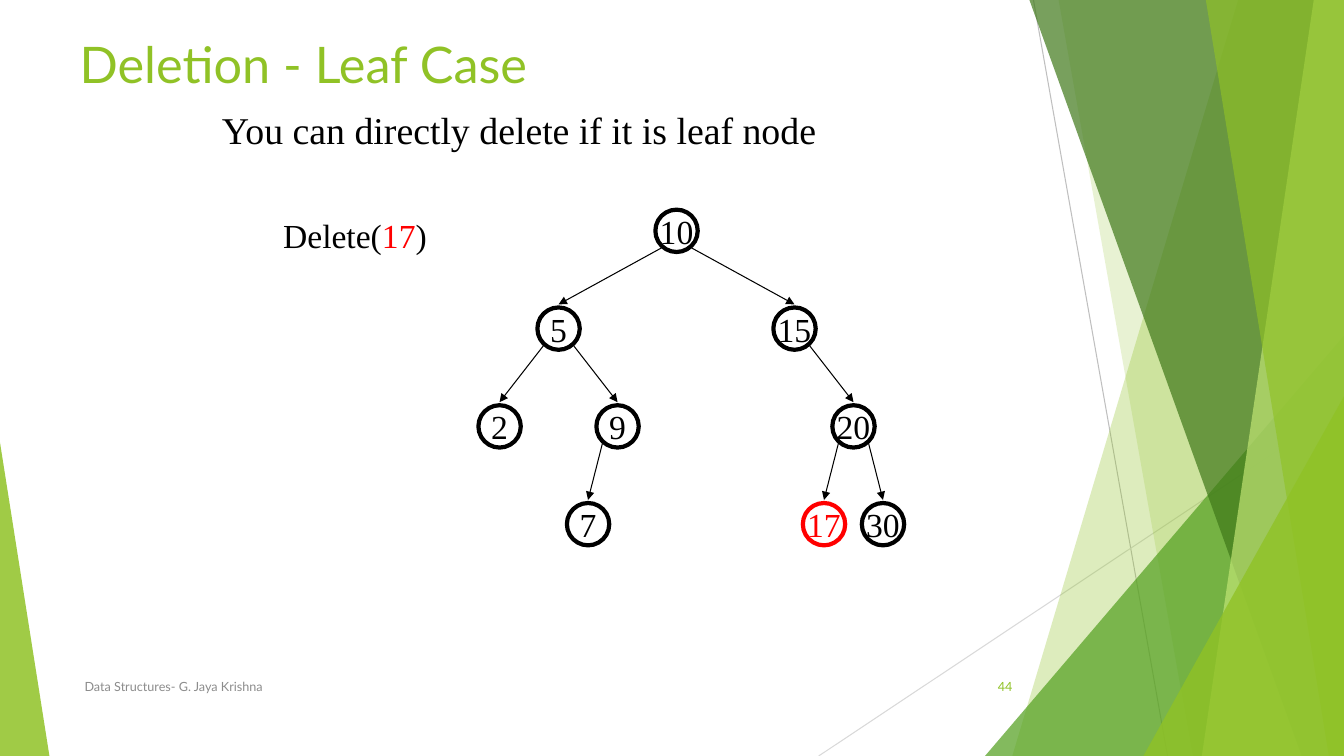
"""Build the slide on deleting a leaf from a binary search tree."""
from lxml import etree
from pptx import Presentation
from pptx.dml.color import RGBColor
from pptx.enum import shapes, text
from pptx.oxml import ns
from pptx.util import Inches, Pt

BLACK = RGBColor(0x00, 0x00, 0x00)
RED = RGBColor(0xFF, 0x00, 0x00)
GREY = RGBColor(0x8C, 0x8C, 0x8C)
SILVER = RGBColor(0xBF, 0xBF, 0xBF)
PALE = RGBColor(0xD9, 0xD9, 0xD9)
LIME = RGBColor(0x90, 0xC2, 0x26)
LIGHT = RGBColor(0xC0, 0xE4, 0x74)
GREEN = RGBColor(0x54, 0xA0, 0x21)
DARK = RGBColor(0x3F, 0x78, 0x19)
SANS, SERIF = "Lato", "Times New Roman"
WIDTH, HEIGHT = 13.33, 7.5

TITLE = "Deletion - Leaf Case"
SUBTITLE = "You can directly delete if it is leaf node"
COMMAND = [("Delete(", BLACK), ("17", RED), (")", BLACK)]
FOOTER, PAGE = "Data Structures- G. Jaya Krishna", "44"

TREE = (10,
        (5, (2, None, None), (9, (7, None, None), None)),
        (15, None, (20, (17, None, None), (30, None, None))))
DELETED = 17
ROOT_X, ROOT_Y, LEVEL, SPREAD, NODE = 6.71, 2.29, 0.97, 1.17, 0.42

RAYS = [(10.25, 0, 11.58, HEIGHT, SILVER), (WIDTH, 4.03, 8.12, HEIGHT, PALE)]
BACK_BANDS = [(12.28, 10.04, LIME, 30), (10.5, 11.83, LIME, 20)]
BACK_WEDGES = [(9.77, 3.33, 3.56, 1, GREEN, 72)]
FRONT_BANDS = [(10.21, 12.91, DARK, 70), (13.03, 11.92, LIGHT, 70),
               (11.96, 13.18, LIME, 65)]
FRONT_WEDGES = [(11.34, 3.93, 1.99, 1, LIME, 80), (0, 4.39, 0.49, 0, LIME, 85)]


def style(p, size, font, color):
    p.font.size, p.font.name = Pt(size), font
    p.font.color.rgb = color


def add_line(s, x1, y1, x2, y2, color, arrow=False):
    line = s.shapes.add_connector(shapes.MSO_CONNECTOR.STRAIGHT, *map(Inches, (x1, y1, x2, y2)))
    line.line.color.rgb, line.line.width = color, Pt(0.75)
    if arrow:
        etree.SubElement(line.line._get_or_add_ln(), ns.qn("a:tailEnd"), type="triangle")
    etree.SubElement(line._element.spPr, ns.qn("a:effectLst"))


def paint(shape, color, opacity):
    shape.shadow.inherit = False
    shape.fill.solid()
    shape.fill.fore_color.rgb = color
    shape.line.fill.background()
    clr = shape._element.spPr.find(".//" + ns.qn("a:srgbClr"))
    etree.SubElement(clr, ns.qn("a:alpha"), val=str(opacity * 1000))


def add_bands(s, bands):
    for top_x, bottom_x, color, opacity in bands:
        points = [(WIDTH, 0), (WIDTH, HEIGHT), (bottom_x, HEIGHT)]
        band = s.shapes.build_freeform(Inches(top_x), 0)
        band.add_line_segments([(Inches(x), Inches(y)) for x, y in points])
        paint(band.convert_to_shape(), color, opacity)


def add_wedges(s, wedges):
    for x, y, w, apex, color, opacity in wedges:
        wedge = s.shapes.add_shape(shapes.MSO_SHAPE.ISOSCELES_TRIANGLE,
                                   *map(Inches, (x, y, w, HEIGHT - y)))
        wedge.adjustments[0] = apex
        paint(wedge, color, opacity)


def add_tree(s, tree, x, y, spread):
    value, *children = tree
    color = RED if value == DELETED else BLACK
    node = s.shapes.add_shape(shapes.MSO_SHAPE.OVAL, Inches(x - NODE / 2),
                              Inches(y - NODE / 2), Inches(NODE), Inches(NODE))
    node.shadow.inherit = False
    node.fill.background()
    node.line.color.rgb, node.line.width = color, Pt(3)
    tf = node.text_frame
    tf.word_wrap, tf.vertical_anchor = False, text.MSO_ANCHOR.MIDDLE
    p = tf.paragraphs[0]
    p.text, p.alignment = str(value), text.PP_ALIGN.CENTER
    style(p, 24, SERIF, color)
    for side, child in zip((-1, 1), children):
        if child:
            child_x, child_y = x + side * spread, y + LEVEL
            add_line(s, x + side * 0.15, y + 0.17, child_x, child_y - NODE / 2 - 0.03,
                     BLACK, arrow=True)
            add_tree(s, child, child_x, child_y, spread / 2)


def add_text(s, box, runs, size, font, align=text.PP_ALIGN.LEFT,
             anchor=text.MSO_ANCHOR.MIDDLE):
    tf = s.shapes.add_textbox(*map(Inches, box)).text_frame
    tf.word_wrap, tf.vertical_anchor = True, anchor
    p = tf.paragraphs[0]
    p.alignment = align
    p.font.size, p.font.name = Pt(size), font
    for words, color in runs:
        r = p.add_run()
        r.text = words
        r.font.color.rgb = color


def add_title(s):
    title = s.shapes.title
    s.shapes._spTree.append(title._element)
    title.left, title.top, title.width, title.height = map(Inches, (0.69, 0.28, 9.4, 1.44))
    tf = title.text_frame
    tf.word_wrap, tf.auto_size = True, text.MSO_AUTO_SIZE.NONE
    tf.vertical_anchor = text.MSO_ANCHOR.TOP
    p, sub = tf.paragraphs[0], tf.add_paragraph()
    p.text, sub.text = TITLE, SUBTITLE
    p.alignment = sub.alignment = text.PP_ALIGN.LEFT
    sub.space_before = Pt(9)
    sub._p.get_or_add_pPr().set("marL", str(Inches(1.41)))
    style(p, 36, SANS, LIME)
    style(sub, 27, SERIF, BLACK)


def main():
    prs = Presentation()
    prs.slide_width, prs.slide_height = Inches(WIDTH), Inches(HEIGHT)
    s = prs.slides.add_slide(prs.slide_layouts[5])
    for ray in RAYS:
        add_line(s, *ray)
    add_bands(s, BACK_BANDS)
    add_wedges(s, BACK_WEDGES)
    add_bands(s, FRONT_BANDS)
    add_wedges(s, FRONT_WEDGES)
    add_title(s)
    add_tree(s, TREE, ROOT_X, ROOT_Y, SPREAD)
    add_text(s, (2.71, 2.08, 1.8, 0.5), COMMAND, 24, SERIF, anchor=text.MSO_ANCHOR.TOP)
    add_text(s, (0.74, 6.61, 6.89, 0.4), [(FOOTER, GREY)], 9, SANS)
    add_text(s, (9.39, 6.61, 0.75, 0.4), [(PAGE, LIME)], 9, SANS, text.PP_ALIGN.RIGHT)
    prs.save("out.pptx")


if __name__ == "__main__":
    main()
